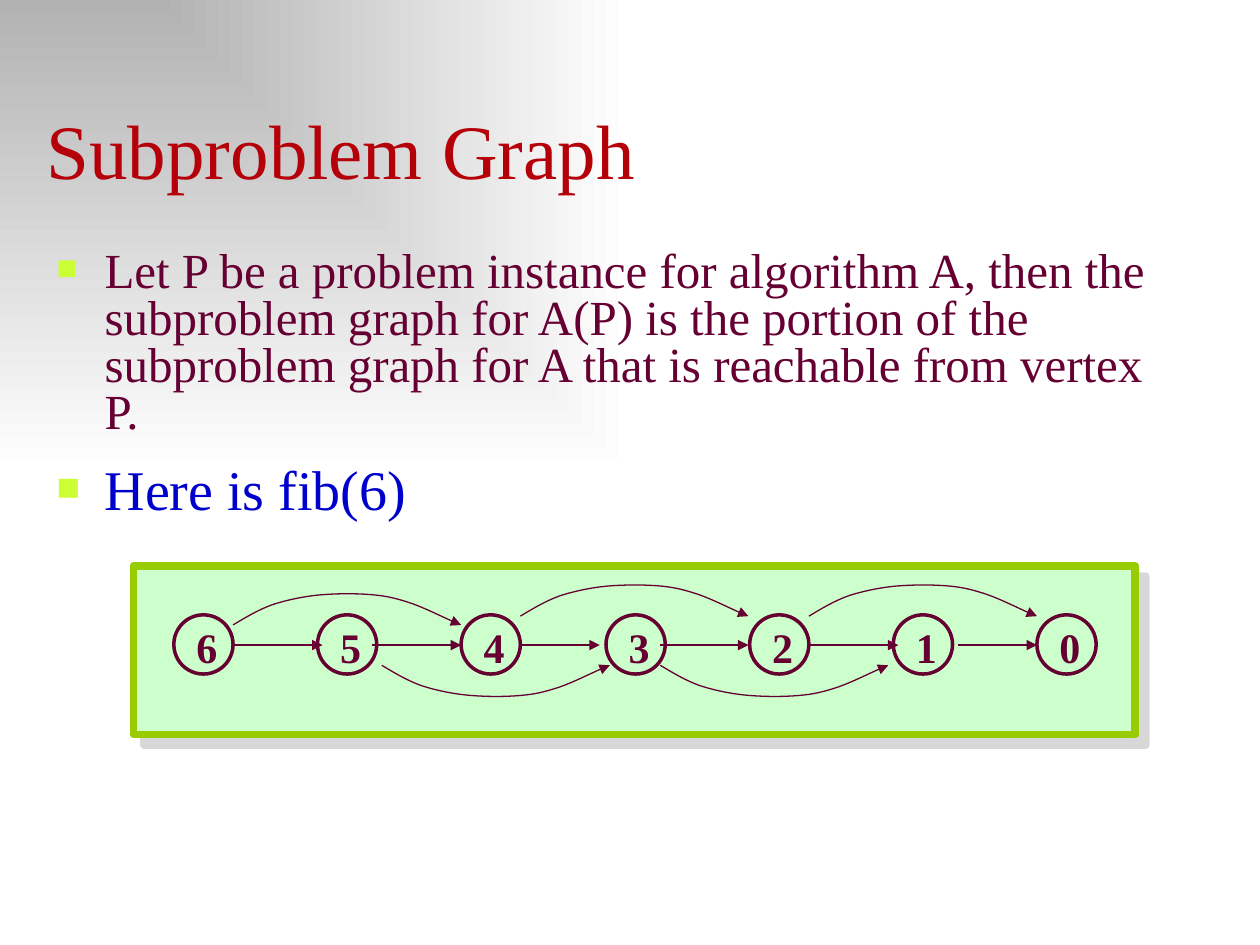
import pptx
import pptx.util
import pptx.dml.color
import pptx.enum.shapes
import pptx.enum.text
import pptx.oxml
import pptx.oxml.ns

Inches, Pt = pptx.util.Inches, pptx.util.Pt
Kind = pptx.enum.shapes.MSO_SHAPE
Fit = pptx.enum.text.MSO_AUTO_SIZE
Anchor = pptx.enum.text.MSO_ANCHOR
qn = pptx.oxml.ns.qn

WINE = "660033"
FONT = "Times New Roman"
TITLE = "Subproblem Graph"
ITEMS = [
    ("Let P be a problem instance for algorithm A, then the subproblem graph "
     "for A(P) is the portion of the subproblem graph for A that is reachable "
     "from vertex P.", 28, WINE, 20),
    ("Here is fib(6)", 32, "0000CC", 50),
]
NODES = "6543210"
FIRST, STEP, TOP, SIZE = 1.38, 1.1417, 4.88, 0.47
EDGES = [(1.85, 2.56), (2.95, 3.66), (4.13, 4.76),
         (5.24, 5.94), (6.42, 7.13), (7.6, 8.23)]
MID = 5.12
ARCS = [(1.85, 4.96, -1), (4.13, 4.89, -1), (6.42, 4.89, -1),
        (3.03, 5.28, 1), (5.24, 5.28, 1)]
CURVE = [(0.1, 0.06), (0.2, 0.12), (0.31, 0.16),
         (0.43, 0.2), (0.58, 0.23), (0.71, 0.24),
         (0.84, 0.25), (0.98, 0.25), (1.1, 0.24),
         (1.22, 0.23), (1.3, 0.21), (1.42, 0.17),
         (1.53, 0.13), (1.73, 0.03), (1.81, 0)]


def color(code):
    return pptx.dml.color.RGBColor.from_string(code)


def node(tag, inner="", **attrs):
    text = "".join(f' {key}="{val}"' for key, val in attrs.items())
    space = pptx.oxml.ns.nsdecls("a")
    return pptx.oxml.parse_xml(f"<a:{tag} {space}{text}>{inner}</a:{tag}>")


def format(thing, **values):
    for key, val in values.items():
        setattr(thing, key, val)


def place(shape, *box):
    for key, val in zip(("left", "top", "width", "height"), box):
        setattr(shape, key, Inches(val))


def write(para, text, size, code, bold=False):
    run = para.add_run()
    run.text = text
    format(run.font, name=FONT, size=Pt(size), bold=bold)
    run.font.color.rgb = color(code)


def space(para, pct):
    para._p.get_or_add_pPr().append(
        node("spcBef", f'<a:spcPct val="{pct * 1000}"/>'))


def outline(shape, code, width):
    shape.line.color.rgb = color(code)
    shape.line.width = Pt(width)


def arrow(shape):
    outline(shape, WINE, 0.75)
    shape.line._get_or_add_ln().append(node("tailEnd", type="triangle"))
    shape._element.spPr.append(node("effectLst"))


def backdrop(slide):
    fill = slide.background.fill
    fill.gradient()
    for stop, code in zip(fill.gradient_stops, ("B2B2B2", "FFFFFF")):
        stop.color.rgb = color(code)
    for stop, pos in zip(fill.gradient_stops, (0, 1)):
        stop.position = pos
    lin = slide.element.find(".//" + qn("a:lin"))
    lin.getparent().replace(lin, node(
        "path", '<a:fillToRect r="100000" b="100000"/>', path="rect"))


def panel(slide):
    box = slide.shapes.add_shape(
        Kind.RECTANGLE, *map(Inches, (1.06, 4.49, 7.95, 1.34)))
    box.fill.solid()
    box.fill.fore_color.rgb = color("CCFFCC")
    outline(box, "99CC00", 4.5)
    tint = '<a:srgbClr val="B2B2B2"><a:alpha val="50000"/></a:srgbClr>'
    shade = (f'<a:outerShdw dist="{Pt(8.5)}" dir="2700000" algn="ctr" '
             f'rotWithShape="0">{tint}</a:outerShdw>')
    box._element.spPr.append(node("effectLst", shade))


def texts(slide):
    title, body = slide.placeholders
    place(title, 0.27, 0.77, 9.45, 0.83)
    format(title.text_frame, vertical_anchor=Anchor.BOTTOM,
           auto_size=Fit.SHAPE_TO_FIT_TEXT)
    head = title.text_frame.paragraphs[0]
    head.alignment = pptx.enum.text.PP_ALIGN.LEFT
    write(head, TITLE, 44, "B60009")

    place(body, 0.35, 1.94, 8.89, 3.99)
    frame = body.text_frame
    frame.auto_size = Fit.NONE
    for i, (text, size, code, gap) in enumerate(ITEMS):
        para = frame.add_paragraph() if i else frame.paragraphs[0]
        space(para, gap)
        props = para._p.get_or_add_pPr()
        props.set("marL", str(Inches(0.38)))
        props.set("indent", str(-Inches(0.38)))
        props.append(node("buClr", '<a:srgbClr val="CCFF33"/>'))
        props.append(node("buSzPct", val=70000))
        props.append(node("buFont", typeface=FONT))
        props.append(node("buChar", char="■"))
        para.line_spacing = 0.8
        write(para, text, size, code)


def vertex(slide, label, left):
    group = slide.shapes.add_group_shape()
    ring = group.shapes.add_shape(
        Kind.OVAL, *map(Inches, (left, TOP, SIZE, SIZE)))
    ring.fill.background()
    ring.shadow.inherit = False
    outline(ring, WINE, 2)
    box = group.shapes.add_textbox(
        *map(Inches, (left + 0.08, TOP, 0.55, 0.5)))
    format(box.text_frame, word_wrap=True, auto_size=Fit.SHAPE_TO_FIT_TEXT)
    para = box.text_frame.paragraphs[0]
    space(para, 50)
    write(para, label, 24, WINE, True)


def arc(slide, left, top, sign):
    pts = [(Inches(left + x), Inches(top + sign * y)) for x, y in CURVE]
    pen = slide.shapes.build_freeform(Inches(left), Inches(top))
    pen.add_line_segments(pts, close=False)
    shape = pen.convert_to_shape()
    shape.fill.background()
    trace = shape._element.find(".//" + qn("a:path"))
    lines = trace.findall(qn("a:lnTo"))
    for i in range(0, len(lines), 3):
        bend = node("cubicBezTo")
        for line in lines[i:i + 3]:
            bend.append(line[0])
            trace.remove(line)
        trace.append(bend)
    arrow(shape)


def main():
    deck = pptx.Presentation()
    format(deck, slide_width=Inches(10), slide_height=Inches(7.5))
    slide = deck.slides.add_slide(deck.slide_layouts[1])
    backdrop(slide)
    texts(slide)
    panel(slide)
    for i, label in enumerate(NODES):
        vertex(slide, label, round(FIRST + i * STEP, 2))
    for start, end in EDGES:
        arrow(slide.shapes.add_connector(
            pptx.enum.shapes.MSO_CONNECTOR.STRAIGHT,
            *map(Inches, (start, MID, end, MID))))
    for spot in ARCS:
        arc(slide, *spot)
    deck.save("out.pptx")


if __name__ == "__main__":
    main()
